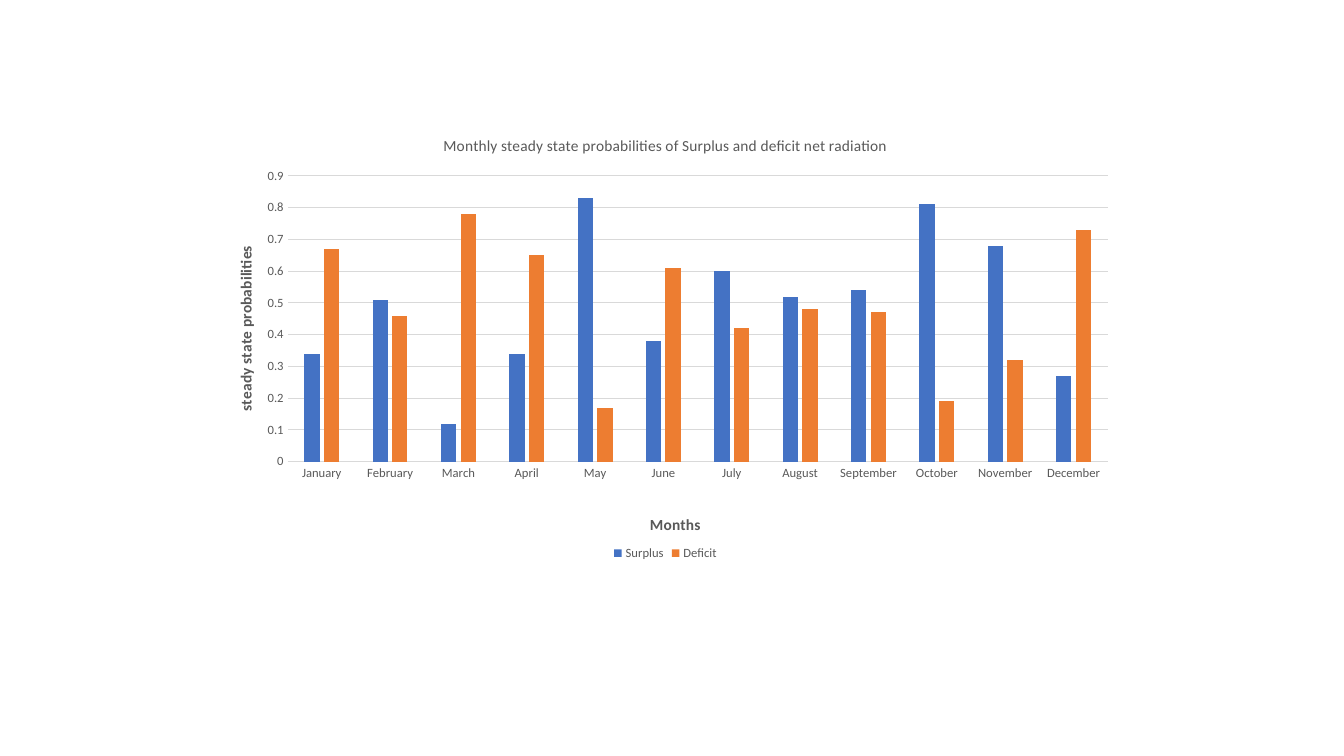
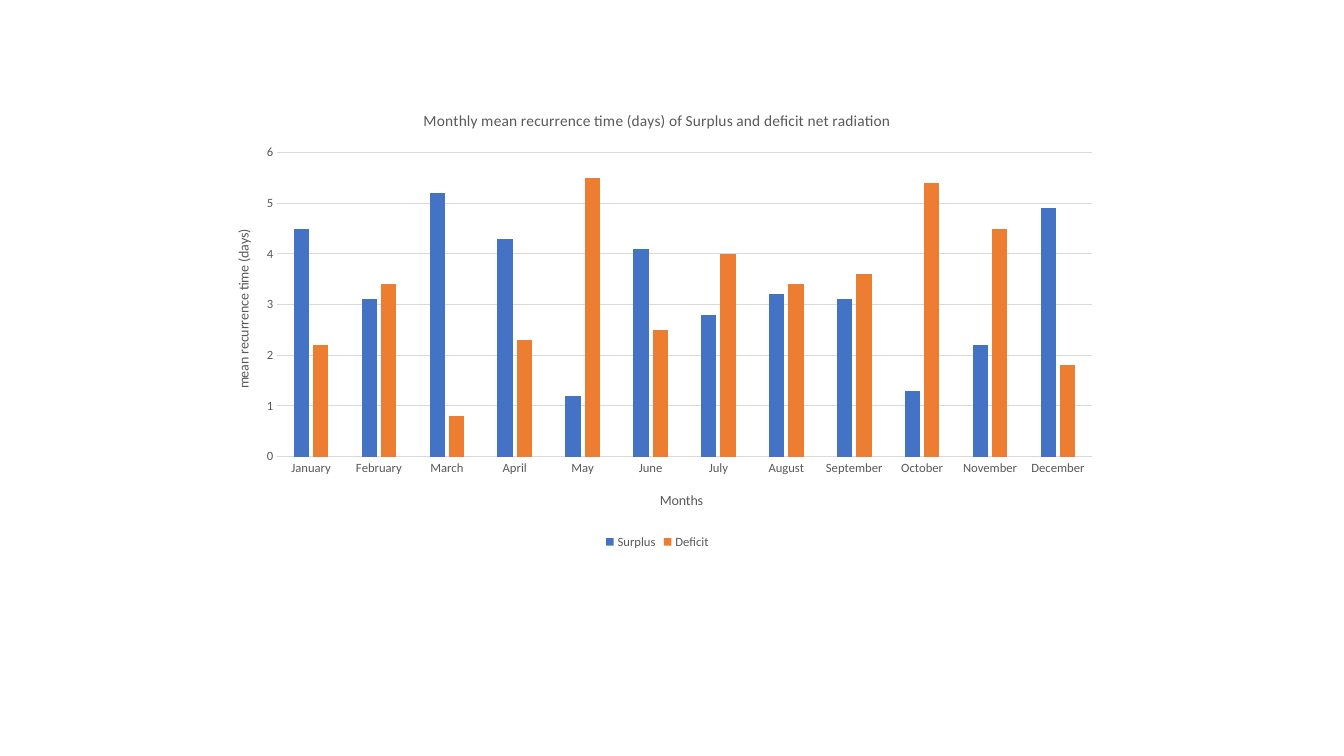
"""Build two slides of monthly surplus and deficit net radiation charts."""
from dataclasses import dataclass

from lxml import etree
from pptx import Presentation, util as u
from pptx.chart.data import CategoryChartData
from pptx.dml.color import RGBColor
from pptx.enum import chart as ch
from pptx.oxml.ns import qn


@dataclass(frozen=True)
class Theme:
    font: str = "Calibri"
    ink: str = "595959"
    rule: str = "D9D9D9"
    series: tuple = ("4472C4", "ED7D31")
    title_size: int = 11
    label_size: int = 9
    rule_width: float = 0.75
    gap: int = 219
    overlap: int = -27


THEME = Theme()
SLIDE_SIZE = (13.33, 7.5)
MONTHS = ["January", "February", "March", "April", "May", "June", "July",
          "August", "September", "October", "November", "December"]
CHARTS = [
    dict(
        title="Monthly steady state probabilities of Surplus and deficit net radiation",
        value_title="steady state probabilities",
        box=(2.03, 1.17, 9.14, 4.43), top=0.9, step=0.1,
        axis_size=11, axis_bold=True,
        plot=(0.09, 0.13, 0.89, 0.64), months_at=(0.48, 0.88), value_at=(0.03, 0.28),
        values={
            "Surplus": (0.34, 0.51, 0.12, 0.34, 0.83, 0.38,
                        0.6, 0.52, 0.54, 0.81, 0.68, 0.27),
            "Deficit": (0.67, 0.46, 0.78, 0.65, 0.17, 0.61,
                        0.42, 0.48, 0.47, 0.19, 0.32, 0.73),
        },
    ),
    dict(
        title="Monthly mean recurrence time (days) of Surplus and deficit net radiation",
        value_title="mean recurrence time (days)",
        box=(2.03, 0.92, 8.98, 4.57), top=6, step=1,
        axis_size=10, axis_bold=False,
        plot=(0.08, 0.13, 0.9, 0.66), months_at=(0.5, 0.86), value_at=(0.03, 0.29),
        values={
            "Surplus": (4.5, 3.1, 5.2, 4.3, 1.2, 4.1, 2.8, 3.2, 3.1, 1.3, 2.2, 4.9),
            "Deficit": (2.2, 3.4, 0.8, 2.3, 5.5, 2.5, 4, 3.4, 3.6, 5.4, 4.5, 1.8),
        },
    ),
]


def style_font(font, size, bold=False):
    """Apply the shared typeface and ink to a font."""
    font.name, font.size, font.bold = THEME.font, u.Pt(size), bold
    font.color.rgb = RGBColor.from_string(THEME.ink)


def write_title(owner, words, size, bold=False):
    """Put formatted text into a chart or axis title."""
    paragraph = owner.text_frame.paragraphs[0]
    run = paragraph.add_run()
    run.text = words
    style_font(run.font, size, bold)


def place(parent, shares, index, inner=False):
    """Position a chart part by shares of the chart's size."""
    for old in parent.findall(qn("c:layout")):
        parent.remove(old)
    layout = etree.Element(qn("c:layout"))
    manual = etree.SubElement(layout, qn("c:manualLayout"))
    settings = [("layoutTarget", "inner")] if inner else []
    settings += [("xMode", "edge"), ("yMode", "edge")]
    settings += zip("xywh", shares)
    for tag, value in settings:
        etree.SubElement(manual, qn(f"c:{tag}")).set("val", str(value))
    parent.insert(index, layout)


def style_rule(line):
    """Draw a thin grey chart line."""
    line.color.rgb = RGBColor.from_string(THEME.rule)
    line.width = u.Pt(THEME.rule_width)


def style_axis(axis, words, position, content):
    """Format an axis, its labels and its title."""
    axis.major_tick_mark = axis.minor_tick_mark = ch.XL_TICK_MARK.NONE
    style_font(axis.tick_labels.font, THEME.label_size)
    axis.has_title = True
    write_title(axis.axis_title, words, content["axis_size"], content["axis_bold"])
    place(axis.axis_title._element, position, 1)


def add_radiation_chart(slide, content):
    """Add one clustered column chart to a slide."""
    data = CategoryChartData()
    data.categories = MONTHS
    for name, values in content["values"].items():
        data.add_series(name, values)
    chart = slide.shapes.add_chart(ch.XL_CHART_TYPE.COLUMN_CLUSTERED,
                                   *map(u.Inches, content["box"]), data).chart
    style_font(chart.font, THEME.label_size)
    chart.has_title = True
    write_title(chart.chart_title, content["title"], THEME.title_size)
    chart.chart_title.include_in_layout = False

    months, scale = chart.category_axis, chart.value_axis
    style_axis(months, "Months", content["months_at"], content)
    style_rule(months.format.line)
    style_axis(scale, content["value_title"], content["value_at"], content)
    turn = scale.axis_title.text_frame._txBody.find(qn("a:bodyPr"))
    turn.set("rot", "-5400000")
    turn.set("vert", "horz")
    scale.format.line.fill.background()
    scale.minimum_scale, scale.maximum_scale = 0, content["top"]
    scale.major_unit = content["step"]
    scale.has_major_gridlines = True
    style_rule(scale.major_gridlines.format.line)

    chart.has_legend = True
    chart.legend.position = ch.XL_LEGEND_POSITION.BOTTOM
    chart.legend.include_in_layout = False
    style_font(chart.legend.font, THEME.label_size)

    columns = chart.plots[0]
    columns.gap_width, columns.overlap = THEME.gap, THEME.overlap
    columns.vary_by_categories = False
    for series, color in zip(columns.series, THEME.series):
        series.format.fill.solid()
        series.format.fill.fore_color.rgb = RGBColor.from_string(color)
    plot_area = next(chart._chartSpace.iter(qn("c:plotArea")))
    place(plot_area, content["plot"], 0, inner=True)


def main():
    """Build and save the presentation."""
    deck = Presentation()
    deck.slide_width, deck.slide_height = map(u.Inches, SLIDE_SIZE)
    blank = deck.slide_layouts[6]
    for content in CHARTS:
        add_radiation_chart(deck.slides.add_slide(blank), content)
    deck.save("out.pptx")


if __name__ == "__main__":
    main()
